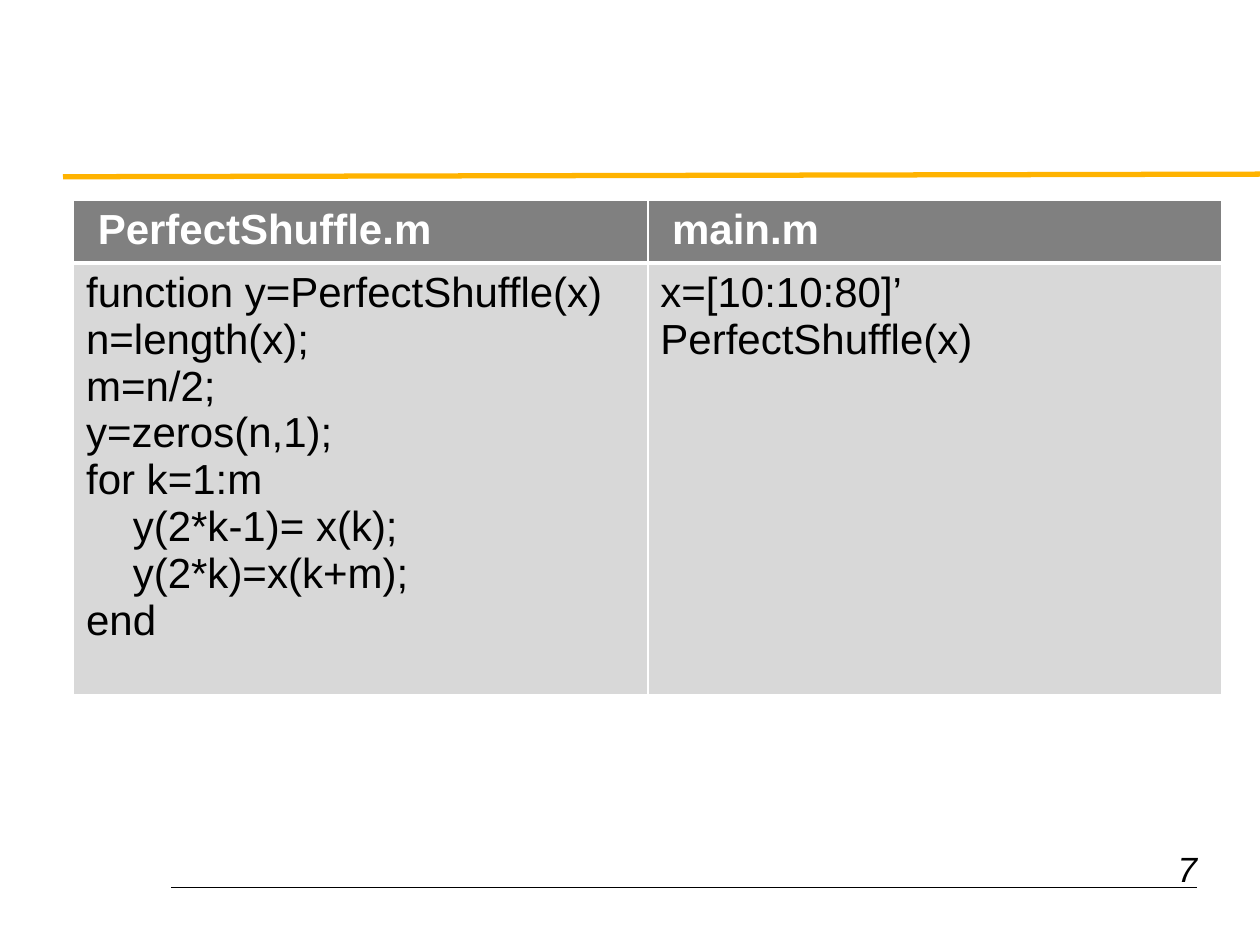
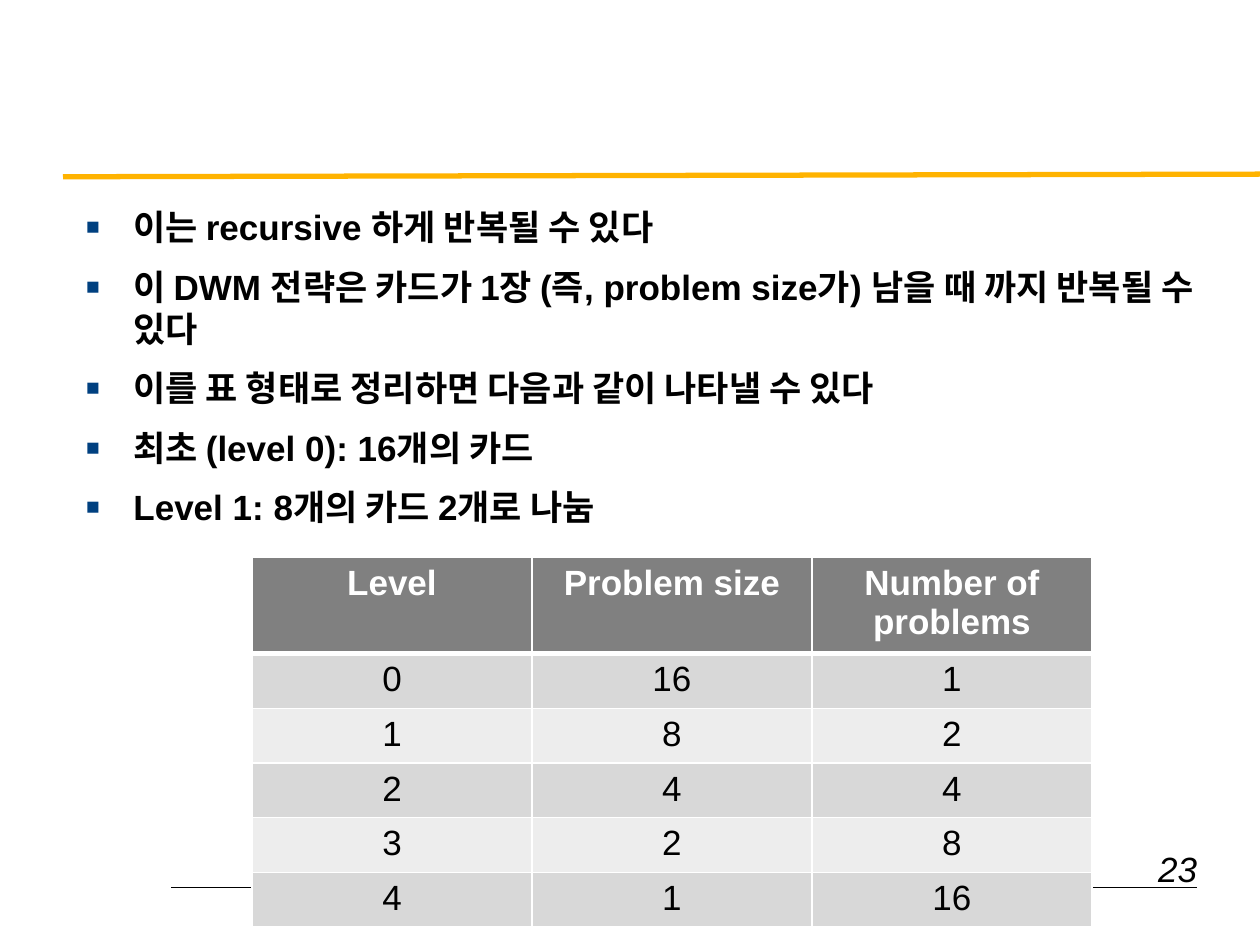
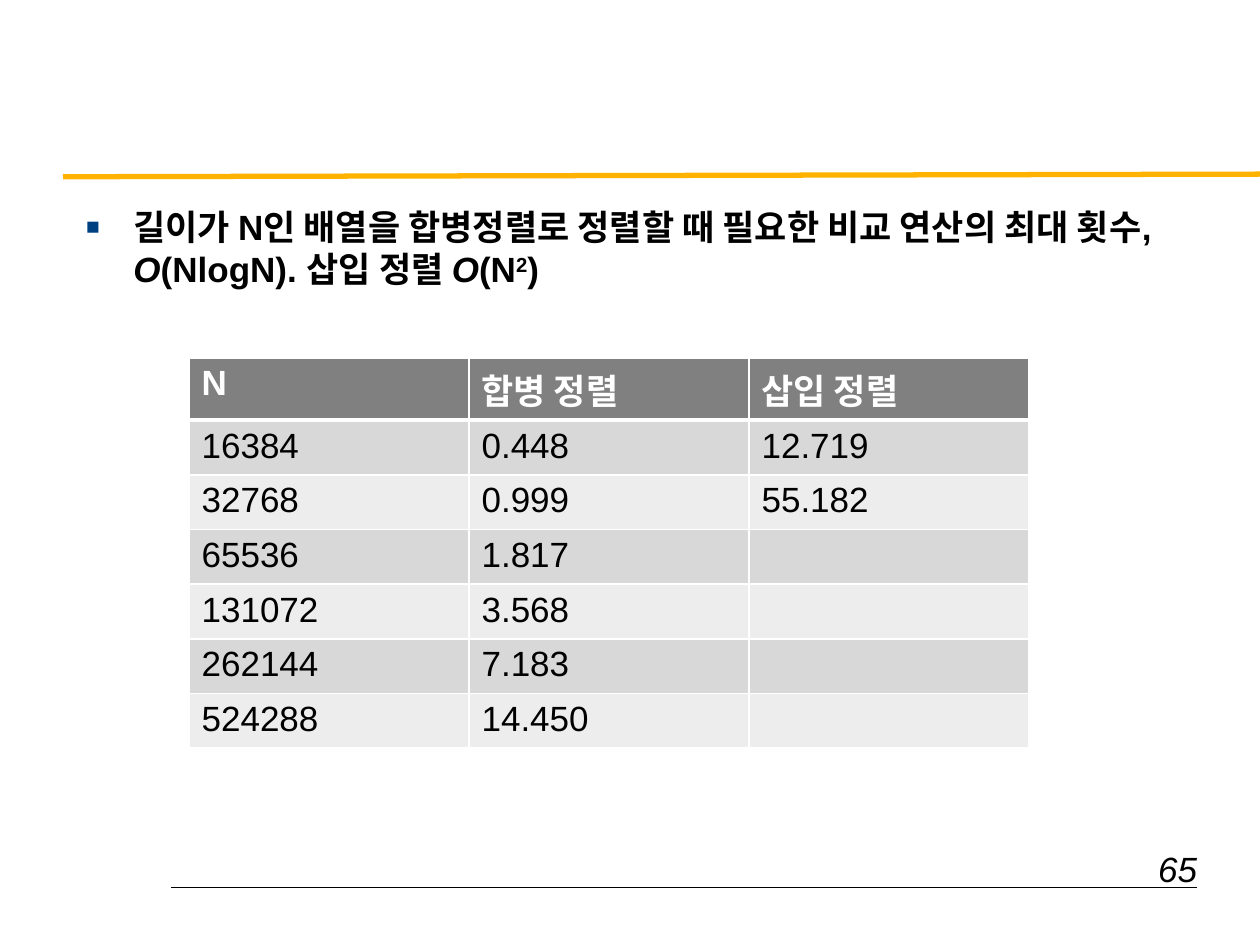
import pptx
import pptx.util
import pptx.dml.color
import pptx.enum.shapes
import pptx.enum.text
import pptx.oxml.ns
from lxml import etree

SLIDES = [
    dict(
        number="7",
        bullets=[],
        table=dict(
            left=42, top=114.3, col_width=328.2, heights=[34.2, 246.5], size=24, align="l",
            rows=[
                [[" PerfectShuffle.m"], [" main.m"]],
                [
                    [
                        "function y=PerfectShuffle(x)",
                        "n=length(x);",
                        "m=n/2;",
                        "y=zeros(n,1);",
                        "for k=1:m",
                        "    y(2*k-1)= x(k);",
                        "    y(2*k)=x(k+m);",
                        "end",
                    ],
                    ["x=[10:10:80]’", "PerfectShuffle(x)"],
                ],
            ],
        ),
    ),
    dict(
        number="23",
        bullets=[
            "이는 recursive 하게 반복될 수 있다",
            "이 DWM 전략은 카드가 1장 (즉, problem size가) 남을 때 까지 반복될 수 있다",
            "이를 표 형태로 정리하면 다음과 같이 나타낼 수 있다",
            "최초 (level 0): 16개의 카드",
            "Level 1: 8개의 카드 2개로 나눔",
        ],
        table=dict(
            left=144, top=318.3, col_width=160, heights=[52] + [29.5] * 5, size=20, align="ctr",
            rows=[
                [["Level"], ["Problem size"], ["Number of", "problems"]],
                [["0"], ["16"], ["1"]],
                [["1"], ["8"], ["2"]],
                [["2"], ["4"], ["4"]],
                [["3"], ["2"], ["8"]],
                [["4"], ["1"], ["16"]],
            ],
        ),
    ),
    dict(
        number="65",
        bullets=[
            [
                ("길이가 N인 배열을 합병정렬로 정렬할 때 필요한 비교 연산의 최대 횟수, ", {}),
                ("O", dict(italic=True)),
                ("(NlogN). 삽입 정렬 ", {}),
                ("O", dict(italic=True)),
                ("(N", {}),
                ("2", dict(baseline=30)),
                (")", {}),
            ],
        ],
        table=dict(
            left=108, top=204.5, col_width=160, heights=[35.6] + [29.5] * 6, size=20, align="l",
            rows=[
                [["N"], ["합병 정렬"], ["삽입 정렬"]],
                [["16384"], ["0.448"], ["12.719"]],
                [["32768"], ["0.999"], ["55.182"]],
                [["65536"], ["1.817"], []],
                [["131072"], ["3.568"], []],
                [["262144"], ["7.183"], []],
                [["524288"], ["14.450"], []],
            ],
        ),
    ),
]

FONT = "Arial"
BLACK, WHITE = "000000", "FFFFFF"
GOLD, BULLET_BLUE = "FFB300", "004080"
HEADER_FILL, ROW_FILLS = "808080", ["D8D8D8", "EDEDED"]
RULES = [((98, 507), (684, 507), BLACK, 0.75), ((36, 101), (720, 99.5), GOLD, 3)]
BODY_BOX = (42, 114, 656.6, 327)
NUMBER_BOX = (534, 481, 157.2, 27)
BULLET_INDENT = 27
SPACE_WIDTH = 0.278
ALIGN = dict(
    l=pptx.enum.text.PP_ALIGN.LEFT,
    ctr=pptx.enum.text.PP_ALIGN.CENTER,
    r=pptx.enum.text.PP_ALIGN.RIGHT,
)

Pt = pptx.util.Pt
qn = pptx.oxml.ns.qn


def color(value):
    return pptx.dml.color.RGBColor.from_string(value)


def points(values):
    return [Pt(v) for v in values]


def add_xml(parent, tag, **attrs):
    child = etree.SubElement(parent, qn(tag))
    for key, value in attrs.items():
        child.set(key, str(value))
    return child


def add_bullet(p):
    p.space_before = Pt(10)
    pPr = p._p.get_or_add_pPr()
    pPr.set("marL", str(Pt(BULLET_INDENT)))
    pPr.set("indent", str(Pt(-BULLET_INDENT)))
    add_xml(add_xml(pPr, "a:buClr"), "a:srgbClr", val=BULLET_BLUE)
    add_xml(pPr, "a:buSzPct", val=65000)
    add_xml(pPr, "a:buFont", typeface=FONT)
    add_xml(pPr, "a:buChar", char="■")


def write(tf, paragraphs, size=20, fill=BLACK, bold=False, italic=False, align="l", bullet=False):
    tf.word_wrap = True
    for i, runs in enumerate(paragraphs):
        p = tf.add_paragraph() if i else tf.paragraphs[0]
        p.alignment = ALIGN[align]
        if bullet:
            add_bullet(p)
        if isinstance(runs, str):
            text = runs.lstrip()
            margin = (len(runs) - len(text)) * size * SPACE_WIDTH
            if margin:
                p._p.get_or_add_pPr().set("marL", str(Pt(margin)))
            runs = [(text, {})]
        for text, change in runs:
            r = p.add_run()
            r.text = text
            r.font.name, r.font.size = FONT, Pt(size)
            r.font.bold, r.font.italic = bold, change.get("italic", italic)
            r.font.color.rgb = color(fill)
            if "baseline" in change:
                r._r.get_or_add_rPr().set("baseline", str(change["baseline"] * 1000))


def add_rules(s):
    for start, end, fill, width in RULES:
        line = s.shapes.add_connector(
            pptx.enum.shapes.MSO_CONNECTOR.STRAIGHT, *points(start + end))
        line.line.color.rgb = color(fill)
        line.line.width = Pt(width)
        add_xml(line._element.spPr, "a:effectLst")


def add_body(s, bullets):
    title, body = s.shapes.title, s.placeholders[1]
    title._element.getparent().remove(title._element)
    body.left, body.top, body.width, body.height = points(BODY_BOX)
    body.text_frame.auto_size = pptx.enum.text.MSO_AUTO_SIZE.NONE
    write(body.text_frame, bullets, bold=True, bullet=True)


def add_number(s, number):
    sp = s.shapes.add_textbox(*points(NUMBER_BOX))
    write(sp.text_frame, [number], italic=True, align="r")


def format_cell(cell, row):
    tcPr = cell._tc.get_or_add_tcPr()
    widths = dict(L=1, R=1, T=3 if row == 1 else 1, B=1 if row else 3)
    for side, width in widths.items():
        ln = add_xml(tcPr, "a:ln" + side, w=Pt(width))
        add_xml(add_xml(ln, "a:solidFill"), "a:srgbClr", val=WHITE)
    cell.fill.solid()
    cell.fill.fore_color.rgb = color(ROW_FILLS[(row - 1) % 2] if row else HEADER_FILL)


def add_grid(s, left, top, col_width, heights, size, align, rows):
    cols = len(rows[0])
    box = points((left, top, col_width * cols, sum(heights)))
    table = s.shapes.add_table(len(rows), cols, *box).table
    for column in table.columns:
        column.width = Pt(col_width)
    for i, (height, row) in enumerate(zip(heights, rows)):
        table.rows[i].height = Pt(height)
        for j, lines in enumerate(row):
            cell = table.cell(i, j)
            format_cell(cell, i)
            write(cell.text_frame, lines, size=size, align=align,
                  bold=i == 0, fill=BLACK if i else WHITE)


def main():
    prs = pptx.Presentation()
    prs.slide_width, prs.slide_height = Pt(720), Pt(540)
    for content in SLIDES:
        s = prs.slides.add_slide(prs.slide_layouts[1 if content["bullets"] else 6])
        add_rules(s)
        if content["bullets"]:
            add_body(s, content["bullets"])
        add_number(s, content["number"])
        add_grid(s, **content["table"])
    prs.save("out.pptx")


if __name__ == "__main__":
    main()
